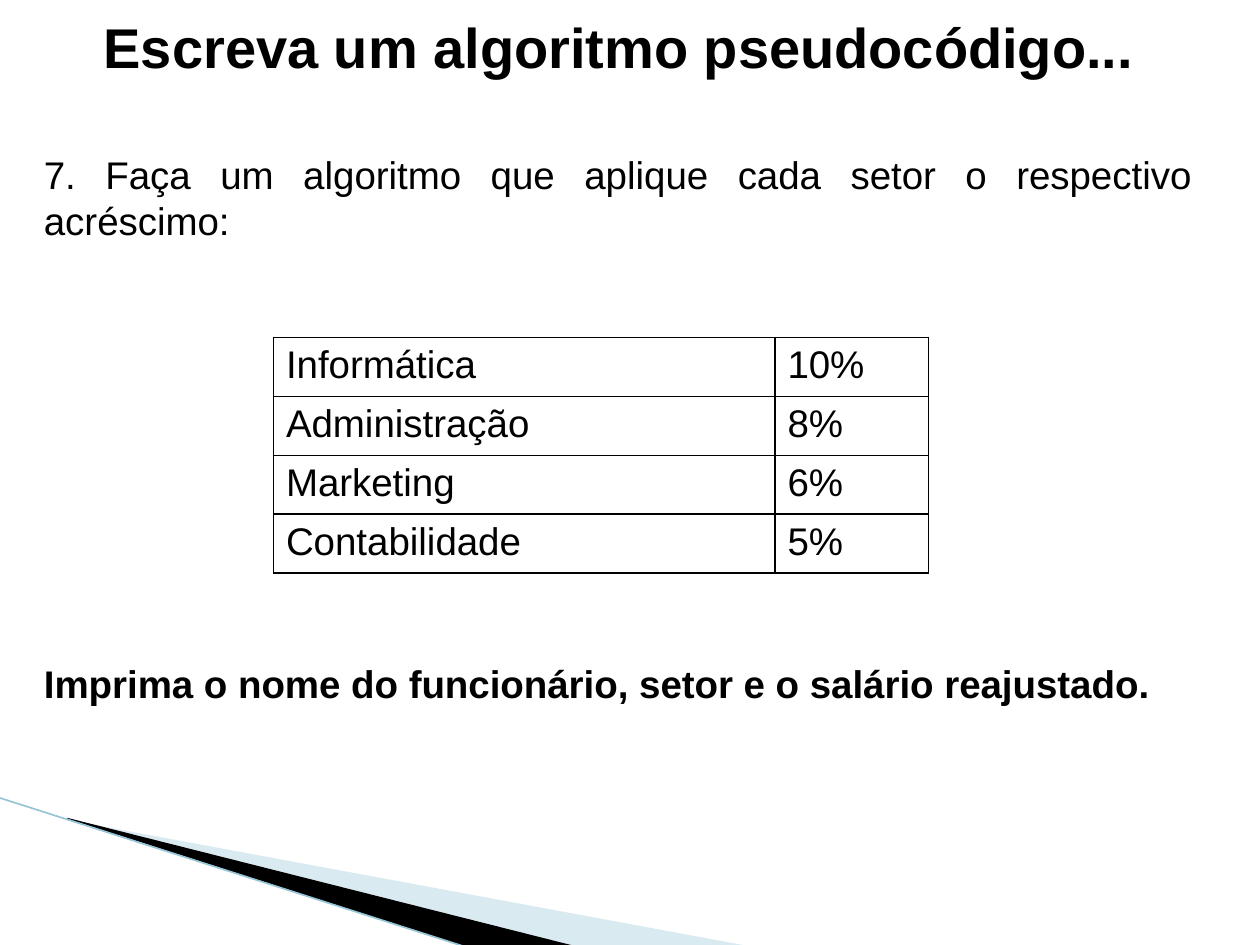
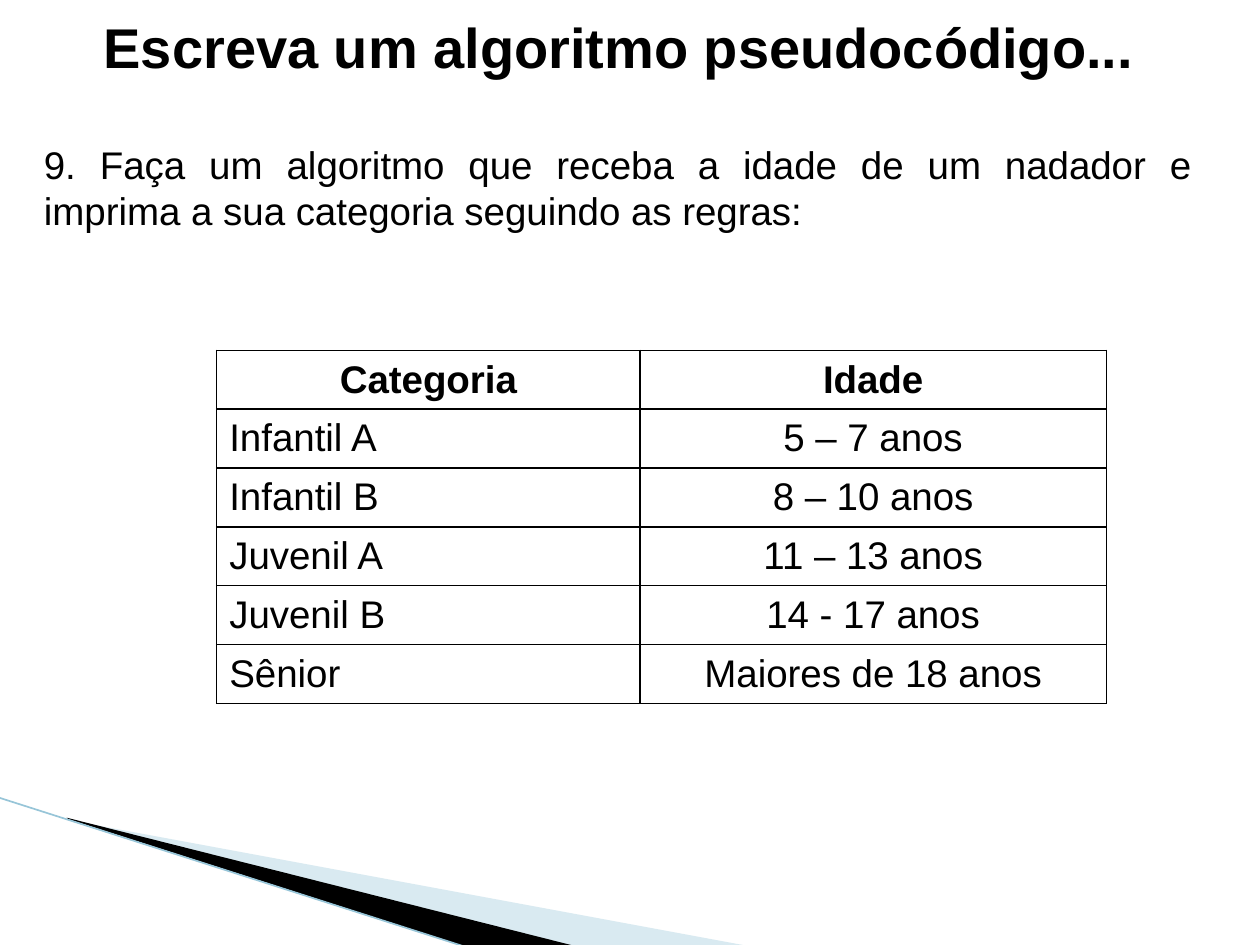
from lxml import etree
from pptx import Presentation
from pptx.dml.color import RGBColor
from pptx.enum import shapes, text
from pptx.oxml.ns import qn
from pptx.util import Inches, Pt

BLACK = RGBColor(0x00, 0x00, 0x00)
PALE_BLUE = RGBColor(0xA0, 0xCB, 0xDC)
LINE_BLUE = RGBColor(0x97, 0xC5, 0xD8)
FONT = "Arial"
BODY_SIZE = 22
TITLE_SIZE = 32
ROW_HEIGHT = 0.467
TITLE = "Escreva um algoritmo pseudocódigo..."
LEFT, CENTER, JUSTIFY = (text.PP_ALIGN.LEFT, text.PP_ALIGN.CENTER,
                         text.PP_ALIGN.JUSTIFY)


def style(p, size=BODY_SIZE, bold=False, align=LEFT):
    p.alignment = align
    p.font.name = FONT
    p.font.size = Pt(size)
    p.font.bold = bold
    p.font.color.rgb = BLACK


def add_text(slide, box, content, **look):
    sp = slide.shapes.add_textbox(*map(Inches, box))
    tf = sp.text_frame
    tf.word_wrap = True
    tf.auto_size = text.MSO_AUTO_SIZE.SHAPE_TO_FIT_TEXT
    p = tf.paragraphs[0]
    p.text = content
    style(p, **look)
    return tf


def add_wedge(slide, points, color, opacity=100):
    start, *rest = [(Inches(x), Inches(y)) for x, y in points]
    builder = slide.shapes.build_freeform(*start)
    builder.add_line_segments(rest, close=True)
    sp = builder.convert_to_shape()
    sp.shadow.inherit = False
    sp.fill.solid()
    sp.fill.fore_color.rgb = color
    sp.line.fill.background()
    if opacity < 100:
        clr = sp.fill._xPr.find(".//" + qn("a:srgbClr"))
        etree.SubElement(clr, qn("a:alpha"), val=str(opacity * 1000))


def add_corner(slide):
    """Wedges and line at the bottom left of every slide."""
    add_wedge(slide, [(0.55, 6.51), (5.95, 7.51), (4.56, 7.51), (0.55, 6.5)],
              PALE_BLUE, opacity=40)
    add_wedge(slide, [(0.53, 6.49), (4.57, 7.51), (3.72, 7.52), (0.54, 6.5)],
              BLACK)
    line = slide.shapes.add_connector(
        shapes.MSO_CONNECTOR.STRAIGHT,
        *map(Inches, (-0.01, 6.33, 3.71, 7.52)))
    line.line.color.rgb = LINE_BLUE
    line.line.width = Pt(0.95)
    etree.SubElement(line._element.spPr, qn("a:effectLst"))


def add_borders(cell):
    tc_pr = cell._tc.get_or_add_tcPr()
    for side in ("lnL", "lnR", "lnT", "lnB"):
        ln = etree.SubElement(tc_pr, qn("a:" + side), w=str(Pt(1)))
        fill = etree.SubElement(ln, qn("a:solidFill"))
        etree.SubElement(fill, qn("a:srgbClr"), val=str(BLACK))


def add_grid(slide, left, top, widths, rows, aligns, anchor, header=False):
    frame = slide.shapes.add_table(
        len(rows), len(widths), Inches(left), Inches(top),
        Inches(sum(widths)), Inches(ROW_HEIGHT * len(rows)))
    table = frame.table
    table.first_row = header
    table.horz_banding = False
    for column, width in zip(table.columns, widths):
        column.width = Inches(width)
    for i, row in enumerate(rows):
        table.rows[i].height = Inches(ROW_HEIGHT)
        is_header = header and i == 0
        for j, value in enumerate(row):
            cell = table.cell(i, j)
            cell.text = value
            cell.vertical_anchor = anchor
            style(cell.text_frame.paragraphs[0], bold=is_header,
                  align=CENTER if is_header else aligns[j])
            add_borders(cell)
            cell.fill.background()


def add_exercise(prs, top, height, question):
    """Slide with the shared corner and title, and its question."""
    slide = prs.slides.add_slide(prs.slide_layouts[6])
    add_corner(slide)
    add_text(slide, (0.07, 0.05, 9.69, 0.64), TITLE,
             size=TITLE_SIZE, bold=True, align=CENTER)
    tf = add_text(slide, (0.25, top, 9.31, height), question, align=JUSTIFY)
    return slide, tf


def build_raises(prs):
    slide, tf = add_exercise(
        prs, 1.15, 4.91, "7. Faça um algoritmo que aplique cada setor o "
        "respectivo acréscimo:")
    # Closing instruction, below the table
    p = tf.add_paragraph()
    p.text = "Imprima o nome do funcionário, setor e o salário reajustado."
    p.space_before = Pt(238)
    style(p, bold=True, align=JUSTIFY)
    add_grid(slide, 2.17, 2.68, (3.98, 1.22), [
        ("Informática", "10%"),
        ("Administração", "8%"),
        ("Marketing", "6%"),
        ("Contabilidade", "5%"),
    ], (LEFT, LEFT), text.MSO_ANCHOR.TOP)


def build_swimmers(prs):
    slide, _ = add_exercise(
        prs, 1.07, 0.84, "9. Faça um algoritmo que receba a idade de um "
        "nadador e imprima a sua categoria seguindo as regras:")
    add_grid(slide, 1.72, 2.78, (3.36, 3.7), [
        ("Categoria", "Idade"),
        ("Infantil A", "5 – 7 anos"),
        ("Infantil B", "8 – 10 anos"),
        ("Juvenil A", "11 – 13 anos"),
        ("Juvenil B", "14 - 17 anos"),
        ("Sênior", "Maiores de 18 anos"),
    ], (LEFT, CENTER), text.MSO_ANCHOR.MIDDLE, header=True)


def main():
    prs = Presentation()
    prs.slide_width = Inches(10)
    prs.slide_height = Inches(7.5)
    build_raises(prs)
    build_swimmers(prs)
    prs.save("out.pptx")


main()
